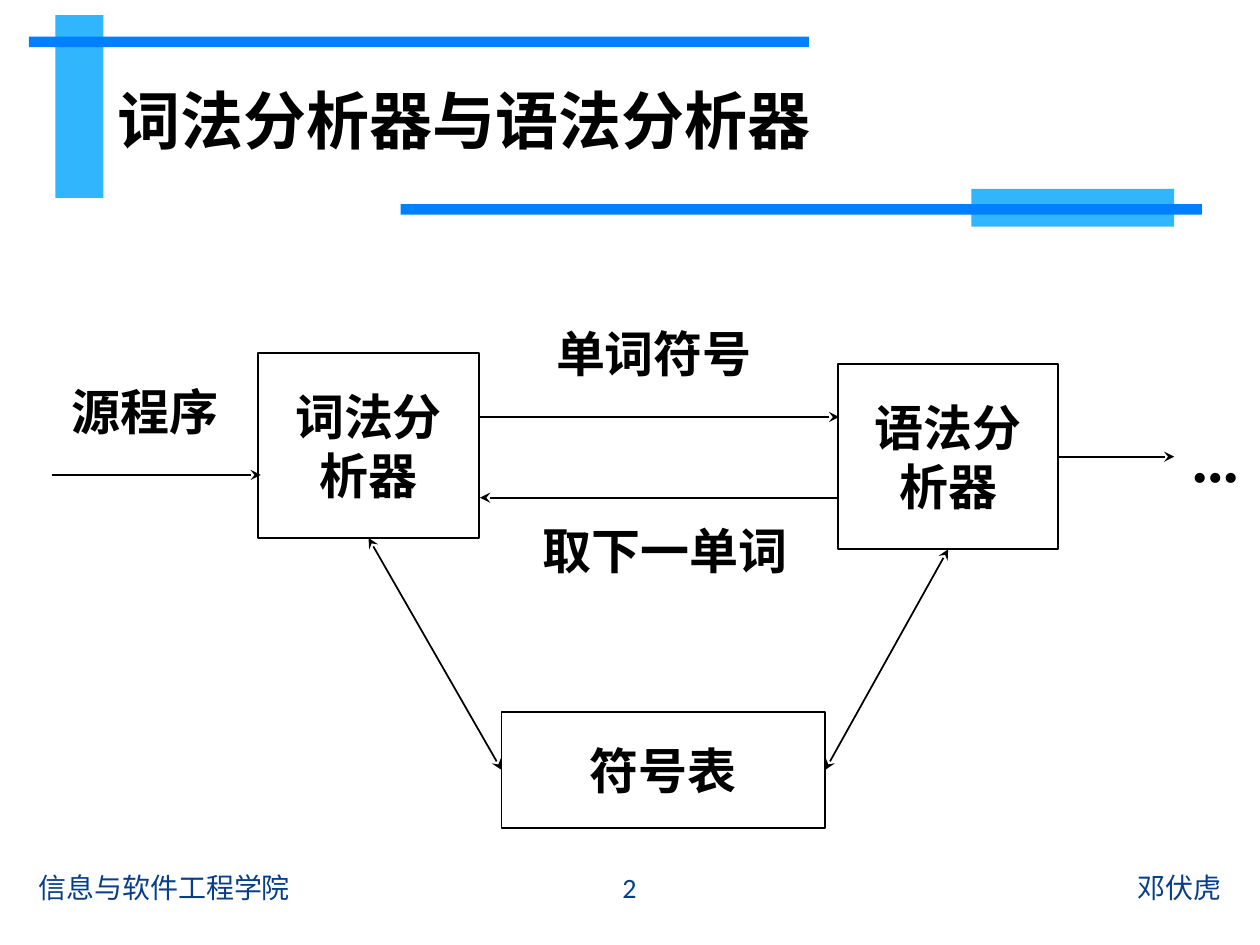
from lxml.etree import SubElement
from pptx import Presentation
from pptx.dml.color import RGBColor
from pptx.enum.shapes import MSO_CONNECTOR as Connector, MSO_SHAPE as Shape
from pptx.enum.text import MSO_ANCHOR as Anchor, PP_ALIGN as Align
from pptx.oxml.ns import qn
from pptx.util import Inches, Pt

COLORS = {"sky": "31B6FD", "blue": "0080FF", "footer": "073E87", "ink": "000000"}
BOTTOM, LEFT, RIGHT = 2, 1, 3

presentation = Presentation()
presentation.slide_width, presentation.slide_height = Inches(10), Inches(7.5)
# The grid has 100 columns and 75 rows of equal size.
cell = presentation.slide_width / 100
slide = presentation.slides.add_slide(presentation.slide_layouts[5])


def grid(*counts):
    return [round(count * cell) for count in counts]


def write(shape, text, size, font, color="ink", align=Align.CENTER, bold=True):
    """Fill a shape with vertically centred text in one format."""
    frame = shape.text_frame
    frame.text = text
    frame.vertical_anchor = Anchor.MIDDLE
    for paragraph in frame.paragraphs:
        paragraph.alignment = align
        for run in paragraph.runs:
            run.font.size = Pt(size)
            run.font.name = font
            run.font.bold = bold
            run.font.color.rgb = RGBColor.from_string(COLORS[color])


# Decorative bars
for color, place in [
    ("sky", (4.4, 1.2, 3.8, 14.5)),
    ("blue", (2.3, 2.9, 61.9, 0.85)),
    ("sky", (77.1, 15, 16.1, 3)),
    ("blue", (31.8, 16.2, 63.6, 0.85)),
]:
    bar = slide.shapes.add_shape(Shape.RECTANGLE, *grid(*place))
    bar.shadow.inherit = False
    bar.fill.solid()
    bar.fill.fore_color.rgb = RGBColor.from_string(COLORS[color])
    bar.line.fill.background()

# Title
title = slide.shapes.title
title.left, title.top, title.width, title.height = grid(8.3, 4.4, 77.2, 10.2)
write(title, "词法分析器与语法分析器", 36, "Arial", align=Align.LEFT)

# Footer
for text, left, width, align in [
    ("信息与软件工程学院", 2.1, 41.4, Align.LEFT),
    ("2", 43.6, 12.7, Align.CENTER),
    ("邓伏虎", 56.5, 41.4, Align.RIGHT),
]:
    footer = slide.shapes.add_textbox(*grid(left, 68.4, width, 4))
    footer.text_frame.word_wrap = True
    write(footer, text, 16, "Calibri", "footer", align, bold=False)

# Boxes of the diagram
boxes = {}
for name, text, place in [
    ("lexer", "词法分\n析器", (20.5, 28, 17.5, 14.7)),
    ("parser", "语法分\n析器", (66.5, 28.9, 17.5, 14.7)),
    ("symbols", "符号表", (39.8, 56.5, 25.7, 9.2)),
]:
    box = slide.shapes.add_shape(Shape.RECTANGLE, *grid(*place))
    box.shadow.inherit = False
    box.fill.background()
    box.line.color.rgb = RGBColor.from_string(COLORS["ink"])
    box.line.width = Pt(1)
    box.text_frame.word_wrap = False
    write(box, text, 28, "Times New Roman")
    boxes[name] = box

# Labels of the flows
for text, size, left, top, width in [
    ("源程序", 28, 2.3, 28.5, 18.4),
    ("单词符号", 28, 42.7, 23.9, 18.4),
    ("取下一单词", 28, 39, 39.5, 27.6),
    ("...", 35.3, 91.4, 32.2, 10.1),
]:
    label = slide.shapes.add_textbox(*grid(left, top, width, 8.3))
    label.text_frame.word_wrap = False
    write(label, text, size, "Times New Roman")

# Arrows: ends on the grid, joined box sides, and which ends have heads
one_way, two_way = ["tailEnd"], ["headEnd", "tailEnd"]
for ends, begin_side, end_side, heads in [
    ((4.1, 37.7, 20.7, 37.7), None, None, one_way),
    ((38.1, 33.1, 66.6, 33.1), None, None, one_way),
    ((66.6, 39.5, 38.1, 39.5), None, None, one_way),
    ((28.9, 43.2, 39.9, 60.6), ("lexer", BOTTOM), ("symbols", LEFT), two_way),
    ((76.7, 44.1, 65.7, 60.6), ("parser", BOTTOM), ("symbols", RIGHT), two_way),
    ((84, 36.7, 93.2, 36.7), ("parser", RIGHT), None, one_way),
]:
    arrow = slide.shapes.add_connector(Connector.STRAIGHT, *grid(*ends))
    if begin_side:
        arrow.begin_connect(boxes[begin_side[0]], begin_side[1])
        if not end_side:
            arrow.end_y = arrow.begin_y
    if end_side:
        arrow.end_connect(boxes[end_side[0]], end_side[1])
    arrow.line.color.rgb = RGBColor.from_string(COLORS["ink"])
    arrow.line.width = Pt(1)
    line = arrow.line._get_or_add_ln()
    for head in heads:
        SubElement(line, qn(f"a:{head}"), type="stealth", w="med", len="med")
    SubElement(arrow._element.spPr, qn("a:effectLst"))

presentation.save("out.pptx")
